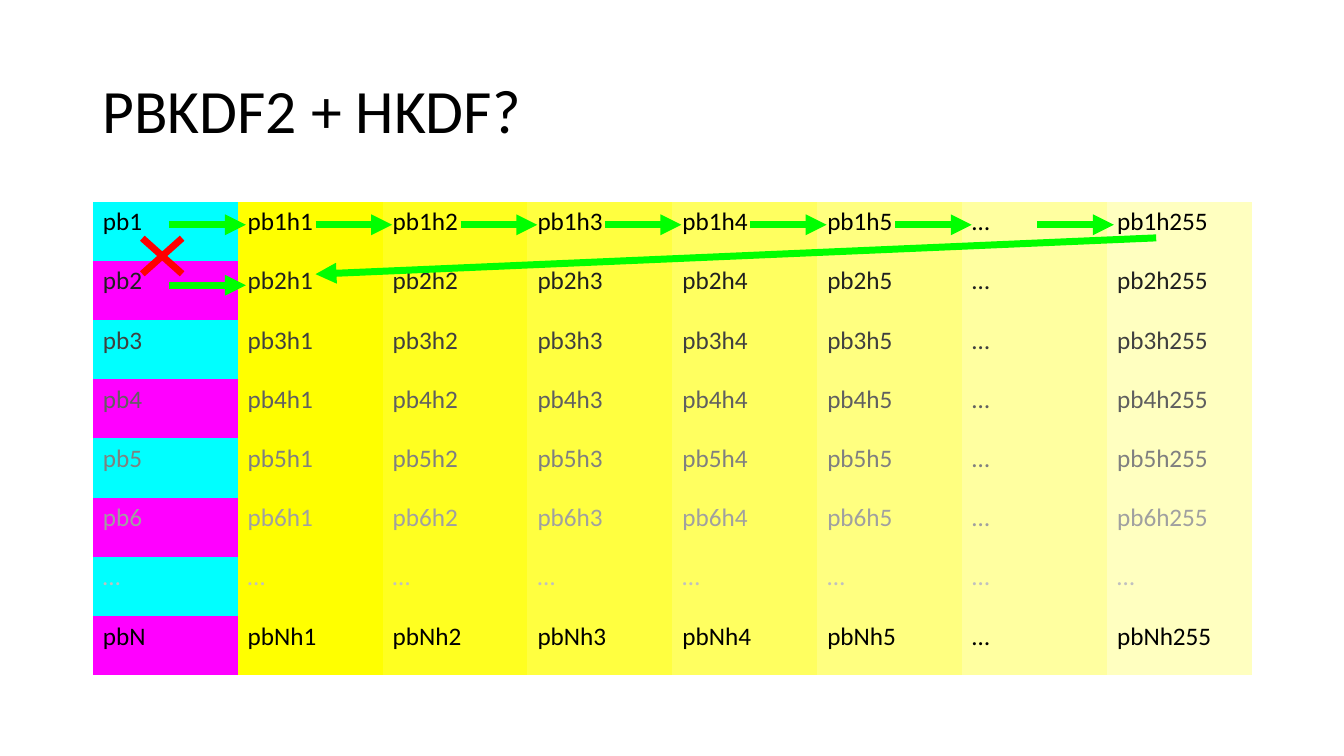
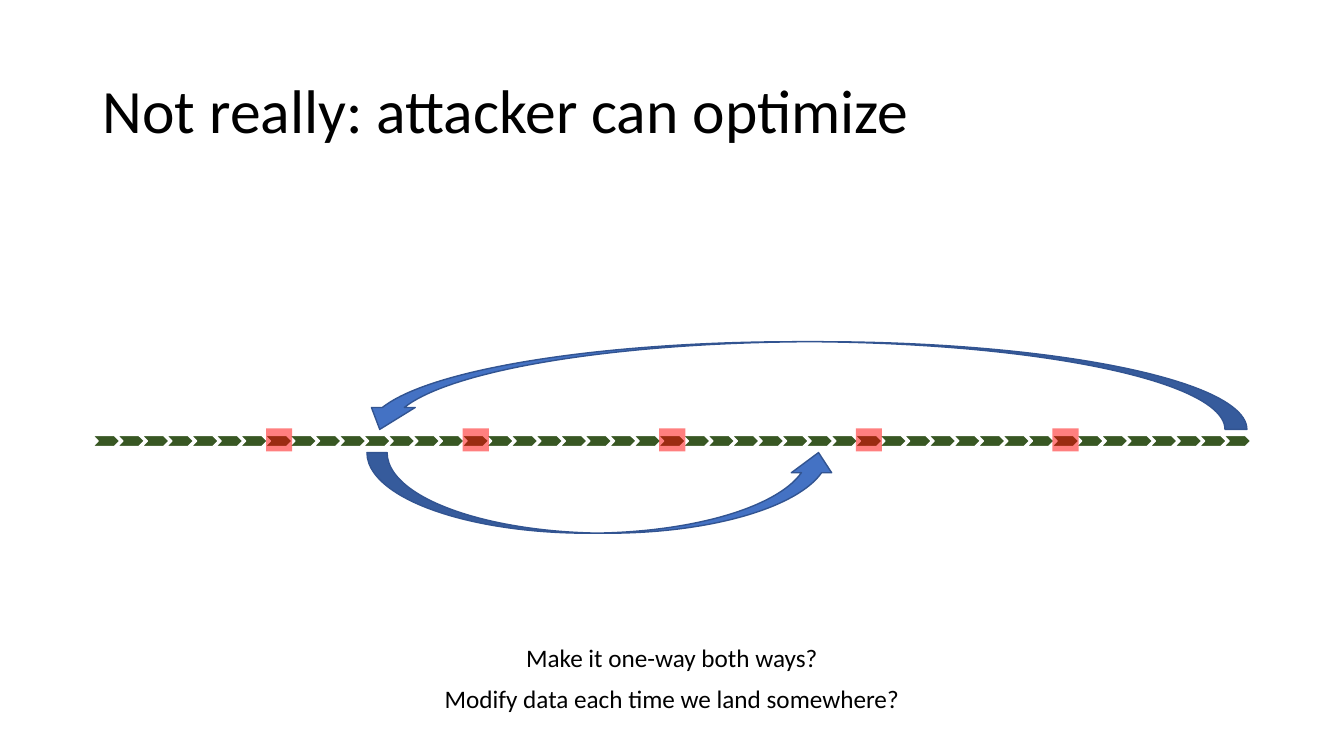
import pptx
import pptx.util
import pptx.dml.color
import pptx.enum.shapes
import pptx.enum.text
import pptx.oxml.ns
import lxml.etree

PX = 9144  # 100 px to the inch
FONT = "Calibri"
BLACK, WHITE, RED, GREEN = "000000", "FFFFFF", "FF0000", "00FF00"
CYAN, MAGENTA = "00FFFF", "FF00FF"
DARK_GREEN, BLUE, DARK_BLUE = "385723", "4472C4", "325491"
NO_STYLE_NO_GRID = "{2D5ABB26-0587-4C30-8999-92F81FD0307C}"
LEFT, WIDTH = 92, 1150

SHAPE = pptx.enum.shapes.MSO_SHAPE
ANCHOR = pptx.enum.text.MSO_ANCHOR
ALIGN = pptx.enum.text.PP_ALIGN
FIT = pptx.enum.text.MSO_AUTO_SIZE
Pt = pptx.util.Pt
qn = pptx.oxml.ns.qn
rgb = pptx.dml.color.RGBColor.from_string


def add_shape(shapes, kind, box, fill, line=None):
    sp = shapes.add_shape(kind, *[round(v * PX) for v in box])
    sp.shadow.inherit = False
    sp.fill.solid()
    sp.fill.fore_color.rgb = rgb(fill)
    if line:
        sp.line.color.rgb = rgb(line)
        sp.line.width = Pt(1)
    else:
        sp.line.fill.background()
    return sp


def add_text(s, text, box, size):
    sp = s.shapes.add_textbox(*[v * PX for v in box])
    tf = sp.text_frame
    tf.word_wrap = True
    p = tf.paragraphs[0]
    p.text = text
    p.font.size = Pt(size)
    p.font.name = FONT
    p.font.color.rgb = rgb(BLACK)
    return tf


prs = pptx.Presentation()
prs.slide_width, prs.slide_height = pptx.util.Inches(13.333), pptx.util.Inches(7.5)

# Both slides with their titles
slides = []
for title in ["PBKDF2 + HKDF?", "Not really: attacker can optimize"]:
    s = prs.slides.add_slide(prs.slide_layouts[6])
    tf = add_text(s, title, (LEFT, 40, WIDTH, 145), 44)
    tf.vertical_anchor = ANCHOR.MIDDLE
    tf.paragraphs[0].line_spacing = 0.9
    slides.append(s)
table_slide, chain_slide = slides

# Table: rows fade to grey, hash columns fade to pale yellow
row_names = ["1", "2", "3", "4", "5", "6", "…", "N"]
col_names = ["", "h1", "h2", "h3", "h4", "h5", "…", "h255"]
frame = table_slide.shapes.add_table(8, 8, LEFT * PX, 200 * PX, WIDTH * PX, 470 * PX)
table = frame.table
table.first_row = table.horz_banding = False
table._tbl.tblPr.find(qn("a:tableStyleId")).text = NO_STYLE_NO_GRID
for i, row in enumerate(row_names):
    color = BLACK if row == "N" else f"{i * 32:02X}" * 3
    for j, col in enumerate(col_names):
        cell = table.cell(i, j)
        cell.fill.solid()
        if j == 0:
            fill = MAGENTA if i % 2 else CYAN
        else:
            fill = f"FFFF{(j - 1) * 32:02X}"
        cell.fill.fore_color.rgb = rgb(fill)
        p = cell.text_frame.paragraphs[0]
        p.text = "…" if "…" in (row, col) else f"pb{row}{col}"
        p.font.size = Pt(18)
        p.font.name = FONT
        p.font.color.rgb = rgb(color)

# Arrows along the first row, into the second row, and back from its end
arrows = [(x, 223, x + 76, 223) for x in (168, 313, 457, 600, 744, 888, 1029)]
arrows += [(168, 283, 244, 283), (1147, 236, 313, 272)]
for ends in arrows:
    c = table_slide.shapes.add_connector(
        pptx.enum.shapes.MSO_CONNECTOR.STRAIGHT, *[v * PX for v in ends])
    c.line.color.rgb = rgb(GREEN)
    c.line.width = Pt(5)
    lxml.etree.SubElement(c.line._get_or_add_ln(), qn("a:tailEnd"), type="triangle")
    lxml.etree.SubElement(c.element.spPr, qn("a:effectLst"))

# Cross between pb1 and pb2
cross = add_shape(table_slide.shapes, SHAPE.MATH_MULTIPLY, (123, 220, 76, 68), RED)
cross.adjustments[0] = 0.1

# Chain of chevrons
chain = chain_slide.shapes.add_group_shape()
links, last_left = 47, 1214
step = (last_left - LEFT) / (links - 1)
for i in range(links):
    add_shape(chain.shapes, SHAPE.CHEVRON, (LEFT + i * step, 432, 27, 11), DARK_GREEN, WHITE)

# Jumps back and forward
back = add_shape(chain_slide.shapes, SHAPE.CURVED_DOWN_ARROW, (355, 339, 882, 87), BLUE, DARK_BLUE)
back.element.spPr.xfrm.set("flipH", "1")
add_shape(chain_slide.shapes, SHAPE.CURVED_UP_ARROW, (364, 449, 468, 80), BLUE, DARK_BLUE)

# Half-transparent checkpoints
for i in range(5):
    mark = add_shape(chain_slide.shapes, SHAPE.RECTANGLE, (264 + i * 195, 425, 26, 23), RED)
    clr = mark.element.spPr.find(qn("a:solidFill")).find(qn("a:srgbClr"))
    lxml.etree.SubElement(clr, qn("a:alpha"), val="50000")

# Closing questions
questions = ["Make it one-way both ways?", "Modify data each time we land somewhere?"]
for i, question in enumerate(questions):
    tf = add_text(chain_slide, question, (181, 632 + i * 41, 971, 40), 18)
    tf.auto_size = FIT.SHAPE_TO_FIT_TEXT
    tf.paragraphs[0].alignment = ALIGN.CENTER

prs.save("out.pptx")
